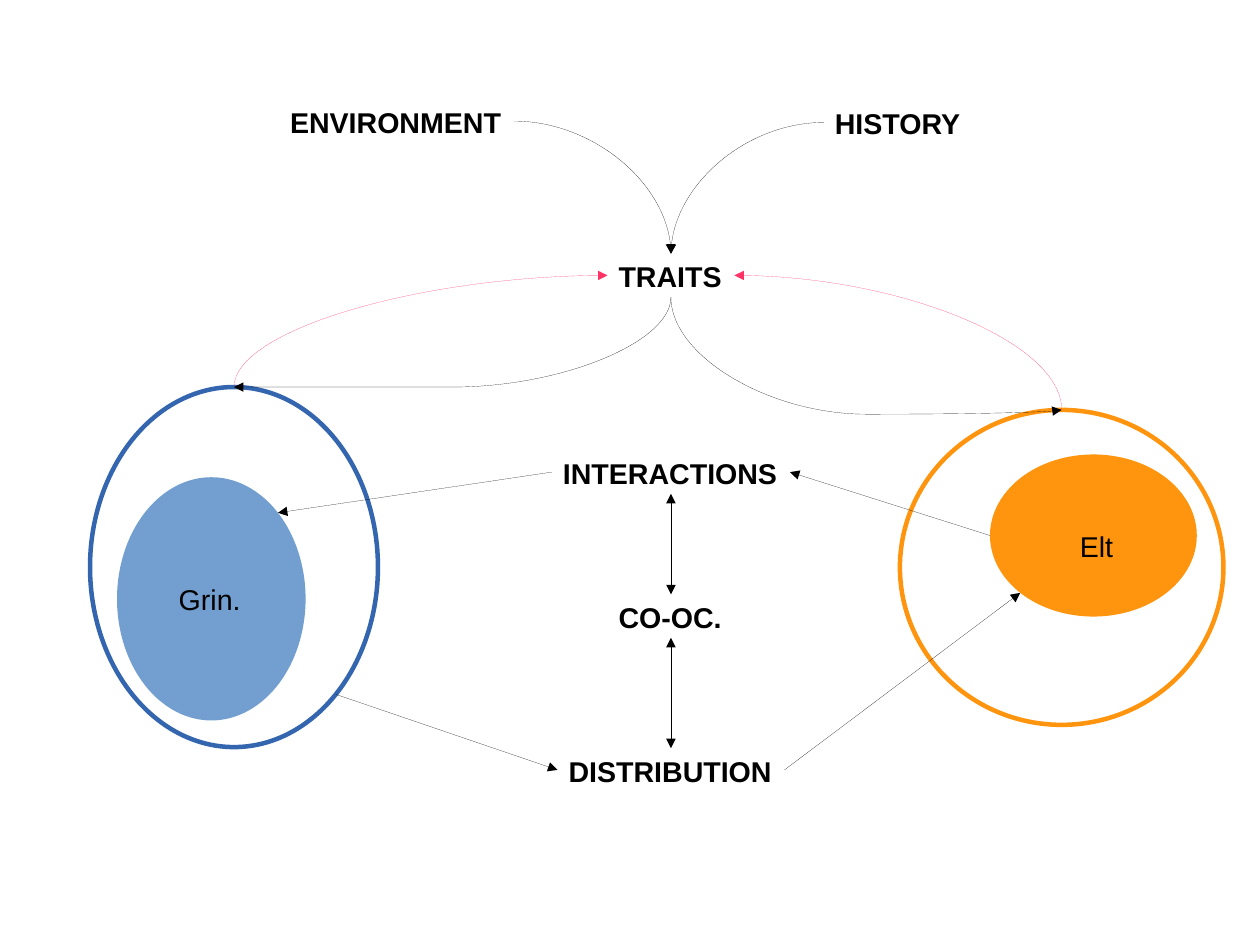
import math
from collections import namedtuple

from lxml import etree
from pptx import Presentation
from pptx.dml.color import RGBColor
from pptx.enum import shapes, text
from pptx.oxml import ns
from pptx.util import Pt

BLACK = RGBColor(0x00, 0x00, 0x00)
NAVY = RGBColor(0x34, 0x65, 0xAF)
BLUE = RGBColor(0x72, 0x9F, 0xCF)
ORANGE = RGBColor(0xFF, 0x95, 0x0E)
PINK = RGBColor(0xFF, 0x33, 0x66)

LABEL_HEIGHT = 27.4
AXIS = 422.65
DIAGONAL = math.sqrt(0.5)

Box = namedtuple("Box", "left top width height")


def anchor(box, across, down):
    return (box.left + box.width * (1 + across) / 2,
            box.top + box.height * (1 + down) / 2)


def add_label(slide, words, left, top, width, bold=True):
    box = Box(left, top, width, LABEL_HEIGHT)
    frame = slide.shapes.add_textbox(*map(Pt, box)).text_frame
    frame.text = words
    frame.word_wrap = False
    frame.auto_size = text.MSO_AUTO_SIZE.SHAPE_TO_FIT_TEXT
    frame.margin_left = frame.margin_right = Pt(7)
    font = frame.paragraphs[0].runs[0].font
    font.name, font.size, font.bold = "Arial", Pt(18), bold
    font.color.rgb = BLACK
    return box


def add_niche(slide, outer, inner, outline, filling):
    group = slide.shapes.add_group_shape()
    ring, core = [group.shapes.add_shape(shapes.MSO_SHAPE.OVAL, *map(Pt, box))
                  for box in (outer, inner)]
    ring.shadow.inherit = core.shadow.inherit = False
    ring.fill.background()
    ring.line.color.rgb = outline
    ring.line.width = Pt(2.83)
    core.fill.solid()
    core.fill.fore_color.rgb = filling
    core.line.fill.background()


def add_arrow(slide, start, end, color=BLACK, both=False, curve=None, turn=0, bend=None):
    dx, dy = end[0] - start[0], end[1] - start[1]
    cos, sin = round(math.cos(math.radians(turn))), round(math.sin(math.radians(turn)))
    across, down = dx * cos + dy * sin, dy * cos - dx * sin
    mid_x, mid_y = (start[0] + end[0]) / 2, (start[1] + end[1]) / 2
    kind = shapes.MSO_CONNECTOR.CURVE if curve else shapes.MSO_CONNECTOR.STRAIGHT
    arrow = slide.shapes.add_connector(
        kind, Pt(mid_x - across / 2), Pt(mid_y - down / 2),
        Pt(mid_x + across / 2), Pt(mid_y + down / 2))
    arrow.line.color.rgb = color
    properties = arrow._element.spPr
    if curve:
        properties.find(ns.qn("a:xfrm")).set("rot", str(turn * 60000))
        geometry = properties.find(ns.qn("a:prstGeom"))
        geometry.set("prst", curve)
        if bend:
            guides = geometry.get_or_add_avLst()
            etree.SubElement(guides, ns.qn("a:gd"), name="adj1", fmla=f"val {bend}")
    outline = properties.find(ns.qn("a:ln"))
    outline.set("w", "0")
    for tip in ("a:headEnd", "a:tailEnd") if both else ("a:tailEnd",):
        etree.SubElement(outline, ns.qn(tip), type="triangle")
    etree.SubElement(properties, ns.qn("a:effectLst"))


def add_niche_model(slide):
    grin_outer = Box(56.7, 243.8, 181.4, 226.8)
    grin_inner = Box(73.7, 300.6, 118.8, 153.2)
    elt_outer = Box(566.9, 258.2, 203.8, 198.4)
    elt_inner = Box(623.6, 286.3, 130.3, 102.1)
    add_niche(slide, grin_outer, grin_inner, NAVY, BLUE)
    add_niche(slide, elt_outer, elt_inner, ORANGE, ORANGE)

    traits, distribution, interactions, co_oc = [
        add_label(slide, words, AXIS - width / 2, top, width)
        for words, top, width in (("TRAITS", 159.8, 80),
                                  ("DISTRIBUTION", 471.3, 143),
                                  ("INTERACTIONS", 283.7, 150))] + [
        add_label(slide, "CO-OC.", AXIS - 40, 374.4, 80)]
    environment = add_label(slide, "ENVIRONMENT", 175.7, 62.6, 148)
    history = add_label(slide, "HISTORY", 518.9, 63.4, 94)

    add_arrow(slide, anchor(grin_outer, DIAGONAL, DIAGONAL), anchor(distribution, -1, 0))
    add_arrow(slide, anchor(distribution, 1, 0), anchor(elt_inner, -DIAGONAL, DIAGONAL))
    add_arrow(slide, anchor(elt_inner, -1, 0), anchor(interactions, 1, 0))
    add_arrow(slide, anchor(interactions, -1, 0), anchor(grin_inner, DIAGONAL, -DIAGONAL))
    for lower, upper in ((distribution, co_oc), (co_oc, interactions)):
        add_arrow(slide, anchor(lower, 0, -1), anchor(upper, 0, 1), both=True)

    add_label(slide, "Grin.", 105.6, 362.9, 54, bold=False)
    add_label(slide, "Elt", 673.2, 329.5, 36, bold=False)

    for cause, side, turn in ((environment, 1, 0), (history, -1, 180)):
        add_arrow(slide, anchor(cause, side, 0), anchor(traits, 0, -1),
                  curve="curvedConnector2", turn=turn)
    niches = ((grin_outer, -1, 90, 100000), (elt_outer, 1, 270, 103800))
    for niche, side, turn, bend in niches:
        add_arrow(slide, anchor(traits, 0, 1), anchor(niche, 0, -1),
                  curve="curvedConnector3", turn=turn, bend=bend)
    for niche, side, turn, bend in niches:
        add_arrow(slide, anchor(niche, 0, -1), anchor(traits, side, 0), PINK,
                  curve="curvedConnector2", turn=turn)


def main():
    deck = Presentation()
    deck.slide_width, deck.slide_height = Pt(793.7), Pt(595.28)
    add_niche_model(deck.slides.add_slide(deck.slide_layouts[6]))
    deck.save("out.pptx")


if __name__ == "__main__":
    main()
